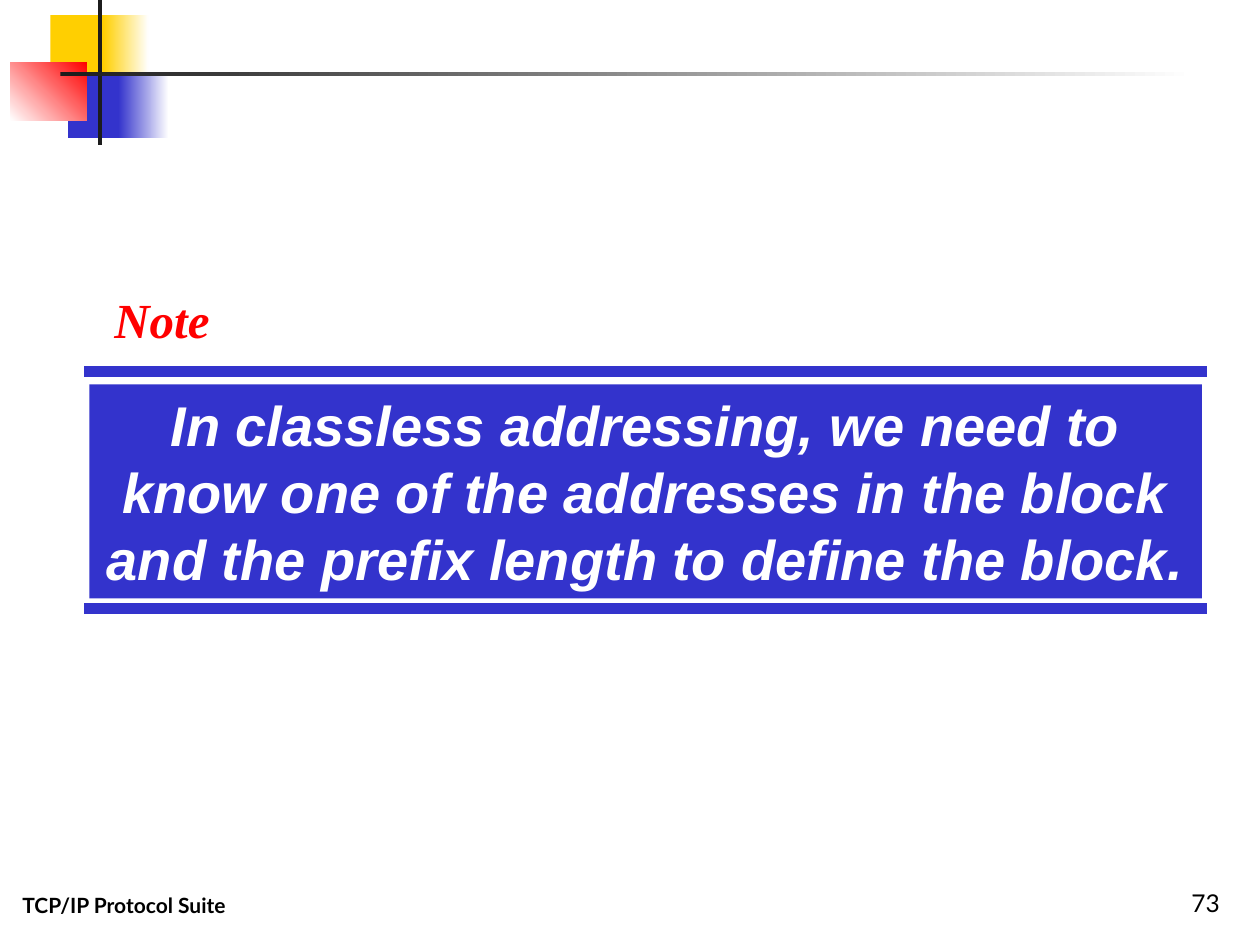
import pptx
import pptx.dml.color
import pptx.enum.shapes
import pptx.enum.text
import pptx.oxml.ns
import pptx.util
import lxml.etree

W, H = 10, 7.5
BLUE, YELLOW, RED, DARK, WHITE = "3333CC", "FFCF01", "FF0000", "1C1C1C", "FFFFFF"
ALIGN = pptx.enum.text.PP_ALIGN
ANCHOR = pptx.enum.text.MSO_ANCHOR


def color(value):
    return pptx.dml.color.RGBColor.from_string(value)


def inches(*values):
    return [pptx.util.Inches(v) for v in values]


def add_rect(slide, box, start, end=None, angle=0):
    sp = slide.shapes.add_shape(
        pptx.enum.shapes.MSO_SHAPE.RECTANGLE, *inches(*box))
    sp.shadow.inherit = False
    sp.line.fill.background()
    if end is None:
        sp.fill.solid()
        sp.fill.fore_color.rgb = color(start)
    else:
        sp.fill.gradient()
        sp.fill.gradient_angle = angle
        for stop, value in zip(sp.fill.gradient_stops, (start, end)):
            stop.color.rgb = color(value)
    return sp


def add_rule(slide, x, y, width):
    line = slide.shapes.add_connector(
        pptx.enum.shapes.MSO_CONNECTOR.STRAIGHT, *inches(x, y, x + width, y))
    line.line.color.rgb = color(BLUE)
    line.line.width = pptx.util.Pt(6)
    lxml.etree.SubElement(line._element.spPr, pptx.oxml.ns.qn("a:effectLst"))


def write(sp, text, size, font, fill="000000", bold=False, italic=False,
          align=ALIGN.LEFT, anchor=ANCHOR.TOP, wrap=True):
    tf = sp.text_frame
    tf.word_wrap = wrap
    tf.vertical_anchor = anchor
    for i, line in enumerate(text.split("\n")):
        p = tf.add_paragraph() if i else tf.paragraphs[0]
        p.alignment = align
        r = p.add_run()
        r.text = line
        r.font.size = pptx.util.Pt(size)
        r.font.name = font
        r.font.bold = bold
        r.font.italic = italic
        r.font.color.rgb = color(fill)


def add_text(slide, box, text, **fmt):
    write(slide.shapes.add_textbox(*inches(*box)), text, **fmt)


def add_ornament(slide, x, y, width, height):
    mid = y + height / 2
    tile = 0.52
    add_rect(slide, (x + 0.32, y + 0.12, 0.48, tile), YELLOW)
    add_rect(slide, (x + 0.74, y + 0.12, 0.36, tile), YELLOW, WHITE)
    add_rect(slide, (x + 0.46, mid, 0.46, tile), BLUE)
    add_rect(slide, (x + 0.86, mid, 0.4, tile), BLUE, WHITE)
    add_rect(slide, (x, mid - 0.08, 0.61, 0.46), WHITE, RED, angle=45)
    add_rect(slide, (x + 0.7, y, 0.03, height), DARK)
    add_rect(slide, (x + 0.4, mid, width - 0.4, 0.03), DARK, WHITE)


def add_note(slide, x, y, width, height):
    add_rule(slide, x, y, width)
    add_rule(slide, x, y + height, width)
    panel = add_rect(slide, (x + 0.04, y + 0.1, width - 0.08, height - 0.18), BLUE)
    write(panel,
          "In classless addressing, we need to know one of the addresses in the block\n"
          "and the prefix length to define the block.",
          size=32, font="Arial", fill=WHITE, bold=True, italic=True,
          align=ALIGN.CENTER)
    add_text(slide, (x + 0.14, y - 0.7, 0.96, 0.57), "Note", size=28,
             font="Times New Roman", fill=RED, bold=True, italic=True, wrap=False)


def add_footer(slide, x, y, width, height):
    add_text(slide, (x, y, 3.17, height), "TCP/IP Protocol Suite", size=12,
             font="Lato", bold=True, anchor=ANCHOR.BOTTOM)
    add_text(slide, (x + width - 2.08, y, 2.08, height), "73", size=14,
             font="Lato", align=ALIGN.RIGHT, anchor=ANCHOR.BOTTOM)


def main():
    prs = pptx.Presentation()
    prs.slide_width, prs.slide_height = inches(W, H)
    slide = prs.slides.add_slide(prs.slide_layouts[6])
    add_footer(slide, 0.08, H - 0.67, 0.97 * W, 0.5)
    add_ornament(slide, 0.08, 0, 0.94 * W, 1.15)
    add_note(slide, 0.67, 2.95, 8.91, 1.88)
    prs.save("out.pptx")


if __name__ == "__main__":
    main()
